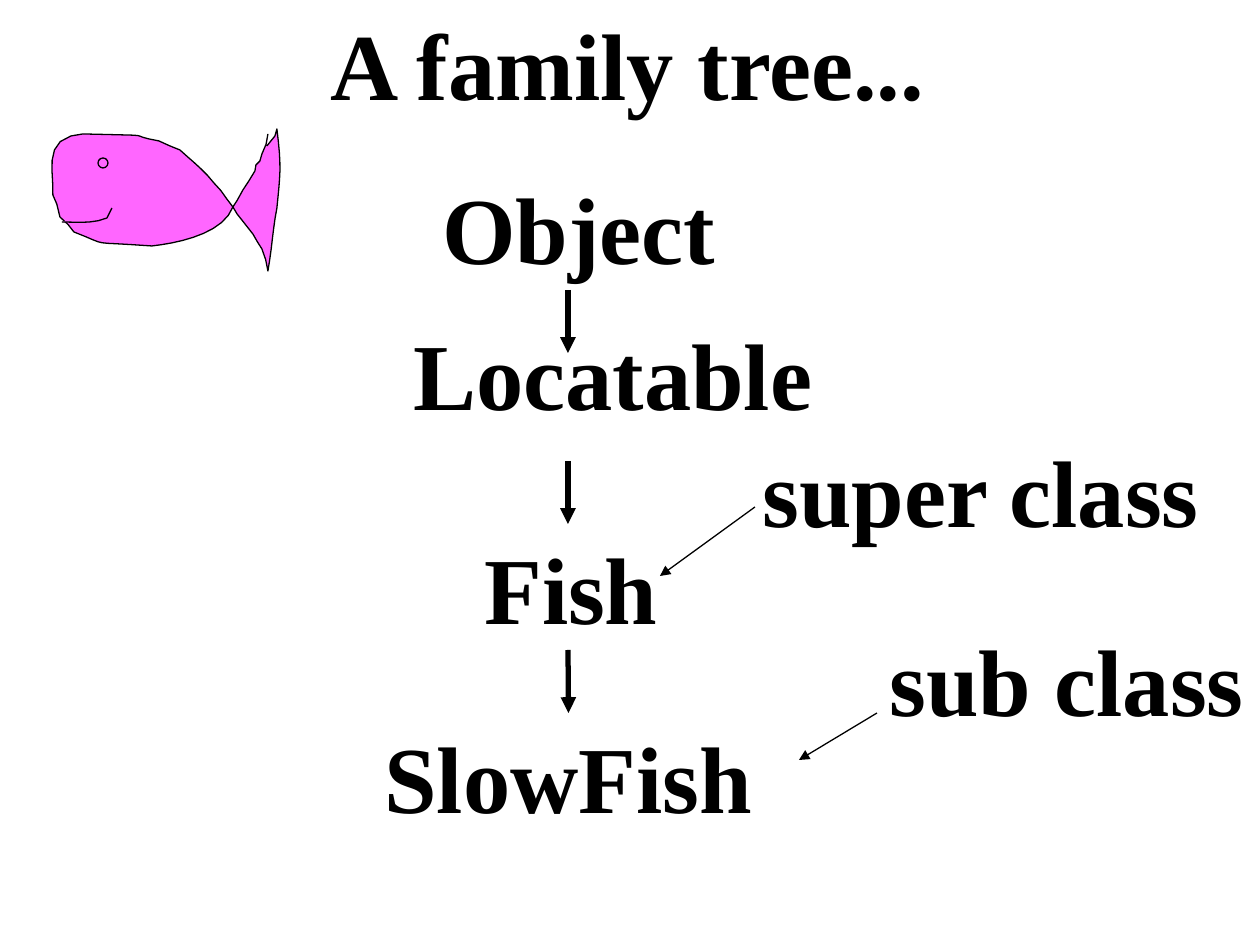
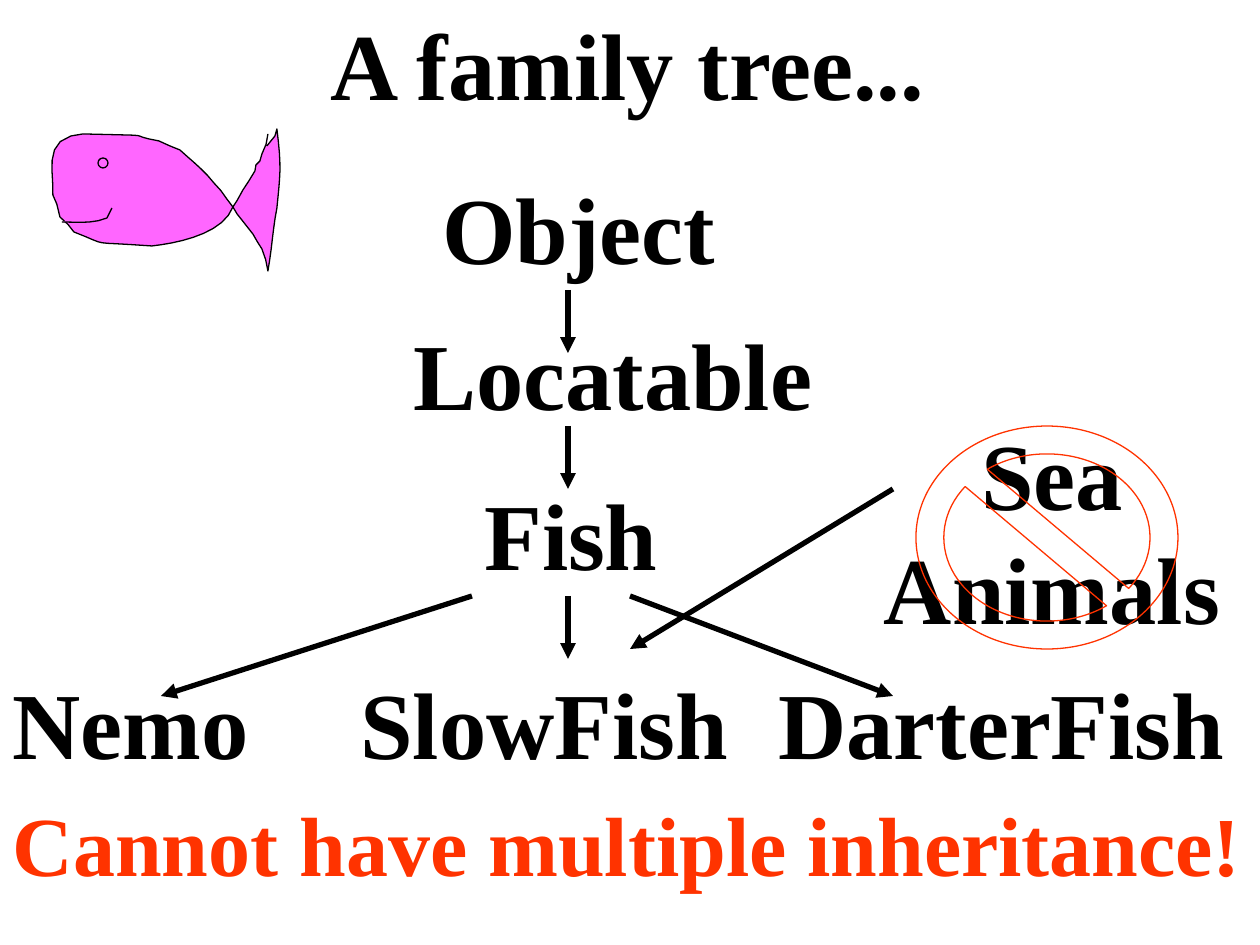
"""Build two slides that show the family tree of the fish classes."""
from math import dist
from lxml.etree import SubElement
from pptx import Presentation
from pptx.dml.color import RGBColor
from pptx.enum.shapes import MSO_CONNECTOR, MSO_SHAPE
from pptx.enum.text import MSO_AUTO_SIZE, PP_ALIGN
from pptx.oxml.ns import qn
from pptx.util import Inches, Pt

EMU_PER_PX = Inches(1) / 126
COLORS = {"ink": "000000", "fish": "FF66FF", "warning": "FF3300"}
FONT = "Times New Roman"
CURVE_STEP = 10
THIN, THICK = 0.75, 3
TRUNK_X, TRUNK_LENGTH = 568, 63

SHARED_LABELS = [
    ("A family tree...", 318, 0, 628),
    ("Object", 430, 164, 301),
    ("Locatable", 401, 310, 427),
]
SLIDES = [
    {
        "labels": [
            ("Fish", 472, 524, 202),
            ("SlowFish", 372, 713, 393),
            ("super class", 750, 427, 466),
            ("sub class", 877, 616, 383),
        ],
        "trunk_tops": [290, 461, 650],
        "arrows": [
            (755, 507, 660, 576, THIN),
            (877, 713, 799, 760, THIN),
        ],
    },
    {
        "labels": [
            ("Fish", 472, 470, 202),
            ("Nemo", 0, 659, 263),
            ("SlowFish", 348, 659, 394),
            ("DarterFish", 766, 659, 473),
            ("Sea\nAnimals", 870, 410, 364),
        ],
        "trunk_tops": [290, 426, 596],
        "arrows": [
            (472, 596, 161, 696, THICK),
            (630, 596, 893, 696, THICK),
            (893, 489, 630, 649, THICK),
        ],
        "forbidden": (916, 426, 262, 223),
        "warning": ("Cannot have multiple inheritance!", 0, 786, 1256),
    },
]

FISH_EYE = (98, 158, 10, 10)
FISH_MOUTH = [(62, 222), (77, 222, 93, 224, 107, 218), (111, 217, 112, 208, 112, 208)]
FISH_BODY = [
    (268, 134),
    (267, 142, 266, 147, 262, 154),
    (261, 156, 261, 159, 260, 161),
    (260, 163, 257, 164, 256, 165),
    (255, 166, 256, 170, 255, 171),
    (251, 178, 247, 184, 243, 190),
    (241, 195, 233, 207, 233, 207),
    (223, 234, 178, 243, 152, 246),
    (84, 241, 113, 247, 74, 232),
    (71, 227, 66, 222, 60, 217),
    (55, 200, 59, 207, 53, 195),
    (54, 173, 44, 144, 71, 136),
    (76, 135, 79, 135, 83, 134),
    (166, 136, 121, 134, 159, 141),
    (166, 145, 174, 147, 180, 150),
    (192, 161, 204, 170, 214, 183),
    (222, 190, 226, 199, 233, 207),
    (236, 214, 244, 222, 249, 229),
    (251, 231, 253, 234, 253, 234),
    (255, 241, 260, 243, 262, 249),
    (265, 256, 267, 263, 268, 271),
    (272, 249, 273, 228, 277, 208),
    (280, 176, 282, 168, 277, 129),
    (277, 126, 276, 134, 275, 136),
    (272, 140, 267, 141, 267, 146),
]


def px(*lengths):
    return [round(length * EMU_PER_PX) for length in lengths]


def color(name):
    return RGBColor.from_string(COLORS[name])


def add_text(page, text, left, top, width, size=54, ink="ink", align=PP_ALIGN.LEFT):
    lines = text.split("\n")
    height = 13 + round(len(lines) * size * 2.1)
    box = page.shapes.add_textbox(*px(left, top, width, height))
    frame = box.text_frame
    frame.word_wrap = False
    frame.auto_size = MSO_AUTO_SIZE.SHAPE_TO_FIT_TEXT
    for index, line in enumerate(lines):
        paragraph = frame.add_paragraph() if index else frame.paragraphs[0]
        paragraph.alignment = align
        span = paragraph.add_run()
        span.text = line
        span.font.name = FONT
        span.font.size = Pt(size)
        span.font.bold = True
        span.font.color.rgb = color(ink)
    return box


def add_arrow(page, x1, y1, x2, y2, weight):
    arrow = page.shapes.add_connector(MSO_CONNECTOR.STRAIGHT, *px(x1, y1, x2, y2))
    arrow.line.color.rgb = color("ink")
    arrow.line.width = Pt(weight)
    properties = arrow.element.spPr
    SubElement(properties.find(qn("a:ln")), qn("a:tailEnd"), type="triangle")
    SubElement(properties, qn("a:effectLst"))
    return arrow


def style_shape(shape, line, fill=None):
    shape.shadow.inherit = False
    shape.line.color.rgb = color(line)
    shape.line.width = Pt(THIN)
    if fill:
        shape.fill.solid()
        shape.fill.fore_color.rgb = color(fill)
    else:
        shape.fill.background()


def curve_points(outline):
    """Return the points along a start point and its cubic curves."""
    points = [outline[0]]
    for x1, y1, x2, y2, x3, y3 in outline[1:]:
        x0, y0 = points[-1]
        steps = max(1, round(dist((x0, y0), (x3, y3)) / CURVE_STEP))
        for step in range(1, steps + 1):
            t = step / steps
            u = 1 - t
            weights = u**3, 3 * u * u * t, 3 * u * t * t, t**3
            points.append(tuple(
                sum(weight * value for weight, value in zip(weights, values))
                for values in ((x0, x1, x2, x3), (y0, y1, y2, y3))
            ))
    return points


def add_outline(group, outline):
    points = [px(*point) for point in curve_points(outline)]
    builder = group.shapes.build_freeform(*points[0])
    builder.add_line_segments(points[1:], close=False)
    style_shape(builder.convert_to_shape(), "ink", "fish")


def add_fish(page):
    group = page.shapes.add_group_shape()
    add_outline(group, FISH_BODY)
    eye = group.shapes.add_shape(MSO_SHAPE.OVAL, *px(*FISH_EYE))
    style_shape(eye, "ink", "fish")
    add_outline(group, FISH_MOUTH)


def add_slide(deck, content):
    page = deck.slides.add_slide(deck.slide_layouts[6])
    boxes = []
    for text, left, top, width in SHARED_LABELS + content["labels"]:
        align = PP_ALIGN.CENTER if "\n" in text else PP_ALIGN.LEFT
        boxes.append(add_text(page, text, left, top, width, align=align))
    trunk_end = px(TRUNK_X)[0]
    for top in content["trunk_tops"]:
        bottom = top + TRUNK_LENGTH
        arrow = add_arrow(page, TRUNK_X, top, TRUNK_X, bottom, THICK)
        for box in boxes:
            if box.top == px(bottom)[0] and abs(box.left + box.width // 2 - trunk_end) < EMU_PER_PX:
                arrow.end_connect(box, 0)
    for arrow in content["arrows"]:
        add_arrow(page, *arrow)
    add_fish(page)
    if "forbidden" in content:
        sign = page.shapes.add_shape(MSO_SHAPE.NO_SYMBOL, *px(*content["forbidden"]))
        sign.adjustments[0] = 0.125
        style_shape(sign, "warning")
    if "warning" in content:
        add_text(page, *content["warning"], size=48, ink="warning")


def main():
    deck = Presentation()
    deck.slide_width, deck.slide_height = Inches(10), Inches(7.5)
    for content in SLIDES:
        add_slide(deck, content)
    deck.save("out.pptx")


if __name__ == "__main__":
    main()
